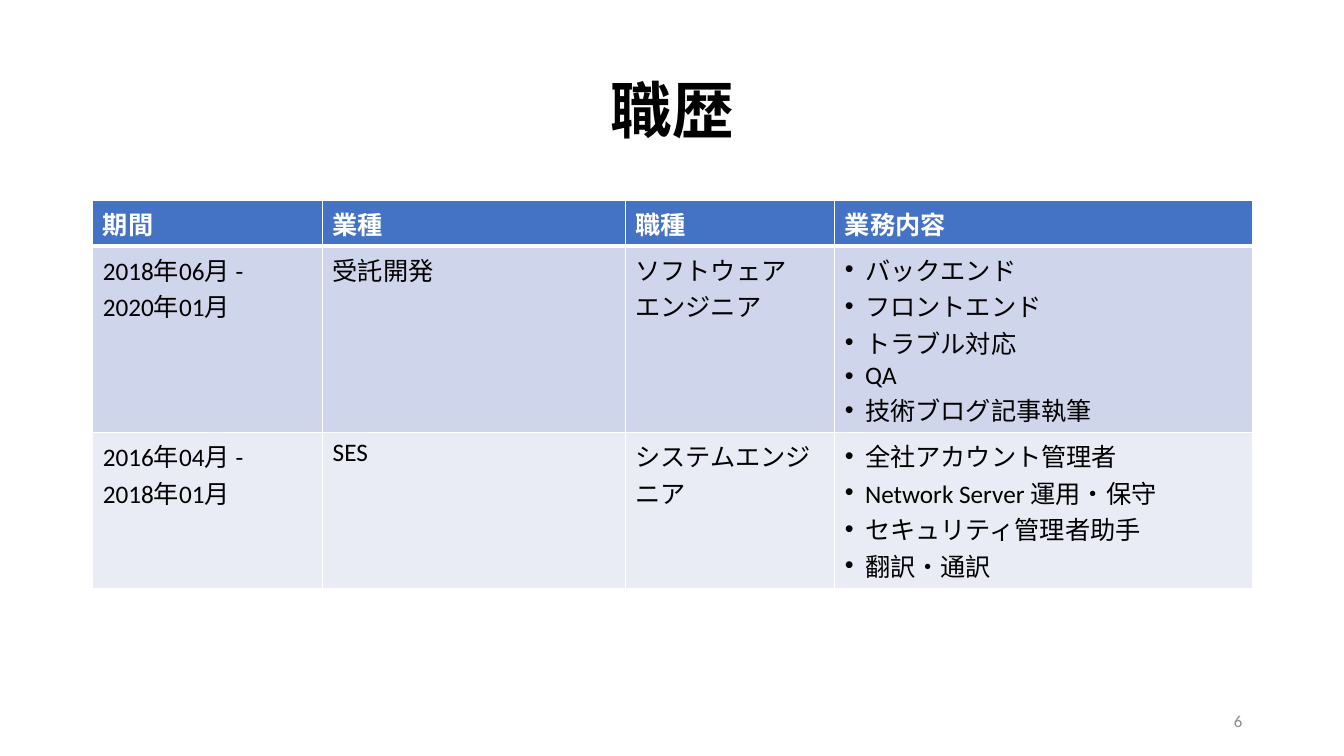
from lxml.etree import SubElement
from pptx import Presentation
from pptx.dml.color import RGBColor
from pptx.enum.text import MSO_ANCHOR, PP_ALIGN
from pptx.oxml.ns import qn
from pptx.util import Inches, Pt

TITLE = "職歴"
PAGE = "6"
HEAD = ["期間", "業種", "職種", "業務内容"]
JOBS = [
    (["2018年06月 -", "2020年01月"], ["受託開発"], ["ソフトウェア", "エンジニア"],
     ["バックエンド", "フロントエンド", "トラブル対応", "QA", "技術ブログ記事執筆"]),
    (["2016年04月 -", "2018年01月"], ["SES"], ["システムエンジニア"],
     ["全社アカウント管理者", "Network Server 運用・保守", "セキュリティ管理者助手", "翻訳・通訳"]),
]
WIDTHS = [2.28, 3, 2.08, 4.14]
HEIGHTS = [0.45, 1.85, 1.55]
LEFT, TOP = 0.92, 1.99
COLORS = {"head": "4472C4", "odd": "CFD5EA", "even": "E9EBF5",
          "white": "FFFFFF", "black": "000000", "gray": "8C8C8C"}
FONT = "Calibri"


def style(para, color, **values):
    para.font.name = FONT
    para.font.color.rgb = RGBColor.from_string(COLORS[color])
    for name, value in values.items():
        setattr(para.font, name, value)


def label(slide, text, box, align, color, **values):
    frame = slide.shapes.add_textbox(*map(Inches, box)).text_frame
    frame.word_wrap = True
    frame.vertical_anchor = MSO_ANCHOR.MIDDLE
    para = frame.paragraphs[0]
    para.text = text
    para.alignment = align
    style(para, color, **values)
    return para


def bullet(para):
    props = para._p.get_or_add_pPr()
    props.set("marL", str(Inches(0.2)))
    props.set("indent", str(-Inches(0.2)))
    SubElement(props, qn("a:buFont"), typeface="Arial")
    SubElement(props, qn("a:buChar"), char="•")


def border(cell, sides):
    """Draw white cell edges; sides maps L, R, T and B, in that order, to points."""
    props = cell._tc.get_or_add_tcPr()
    for side, width in sides.items():
        line = SubElement(props, qn(f"a:ln{side}"), w=str(Pt(width)))
        fill = SubElement(line, qn("a:solidFill"))
        SubElement(fill, qn("a:srgbClr"), val=COLORS["white"])


def fill_cell(cell, lines, row, listed):
    border(cell, {"L": 1, "R": 1, "T": 3 if row == 1 else 1, "B": 3 if row == 0 else 1})
    cell.fill.solid()
    shade = ("head", "odd", "even")[row]
    cell.fill.fore_color.rgb = RGBColor.from_string(COLORS[shade])
    frame = cell.text_frame
    frame.text = "\n".join(lines)
    for para in frame.paragraphs:
        if listed:
            bullet(para)
        style(para, "black" if row else "white", size=Pt(18), bold=row == 0)


def add_jobs(slide):
    rows = [[[name] for name in HEAD], *JOBS]
    box = (LEFT, TOP, sum(WIDTHS), sum(HEIGHTS))
    table = slide.shapes.add_table(len(rows), len(HEAD), *map(Inches, box)).table
    for col, width in zip(table.columns, WIDTHS):
        col.width = Inches(width)
    for r, (cells, height) in enumerate(zip(rows, HEIGHTS)):
        table.rows[r].height = Inches(height)
        for c, lines in enumerate(cells):
            fill_cell(table.cell(r, c), lines, r, r > 0 and c == len(HEAD) - 1)


def main():
    deck = Presentation()
    deck.slide_width, deck.slide_height = Inches(13.33), Inches(7.5)
    slide = deck.slides.add_slide(deck.slide_layouts[6])
    title = label(slide, TITLE, (LEFT, 0.4, 11.5, 1.45), PP_ALIGN.CENTER,
                  "black", size=Pt(44), bold=True)
    title.line_spacing = 0.9
    add_jobs(slide)
    label(slide, PAGE, (9.42, 6.95, 3, 0.4), PP_ALIGN.RIGHT, "gray", size=Pt(12))
    deck.save("out.pptx")


if __name__ == "__main__":
    main()
